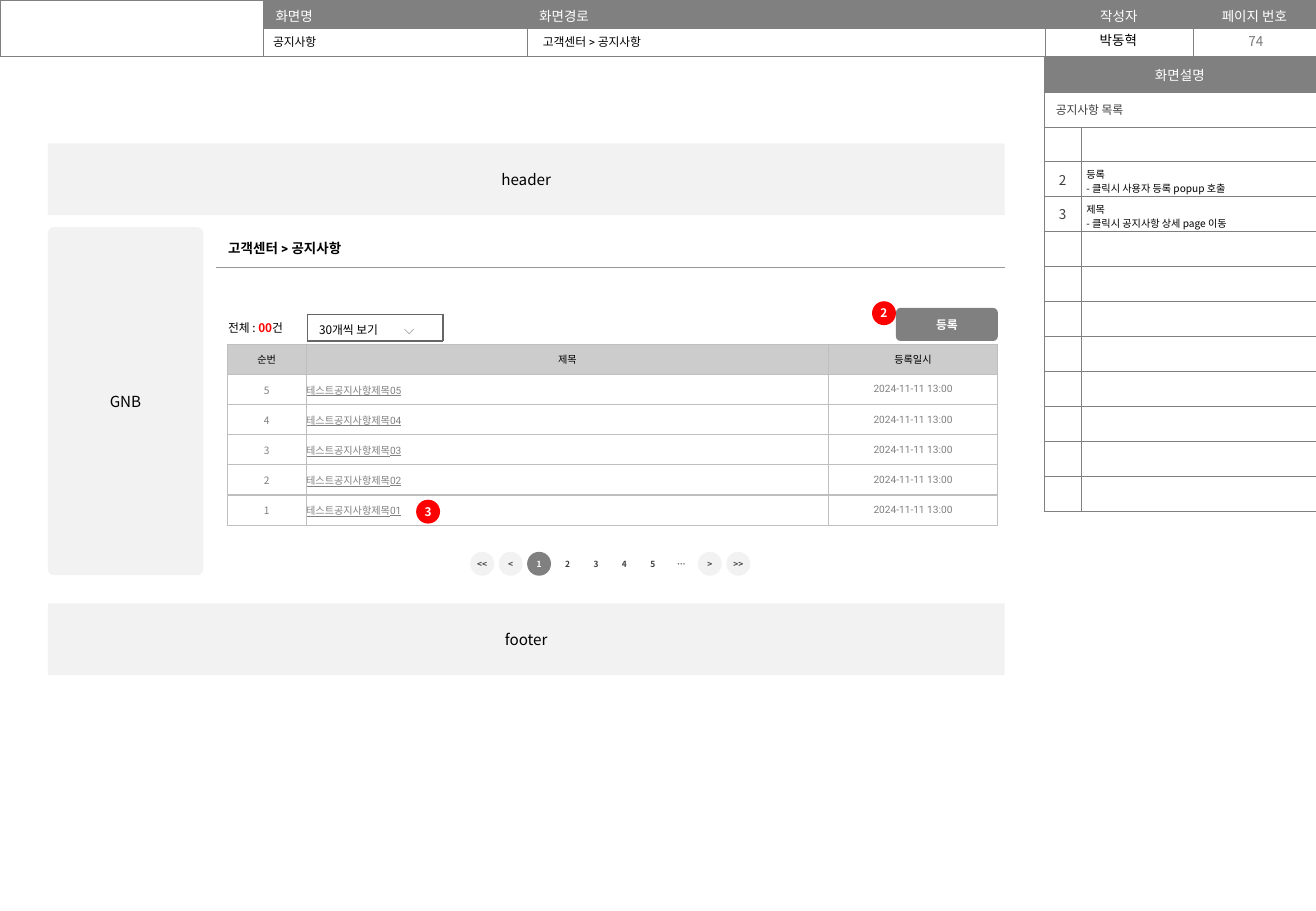
from lxml import etree
from pptx import Presentation
from pptx.dml.color import RGBColor
from pptx.enum import shapes, text
from pptx.oxml import ns
from pptx.util import Cm, Pt

BLACK = RGBColor(0, 0, 0)
WHITE = RGBColor(255, 255, 255)
GRAY = RGBColor(0x80, 0x80, 0x80)
DARK = RGBColor(0x40, 0x40, 0x40)
MID = RGBColor(0x66, 0x66, 0x66)
PAGE_NO = RGBColor(0x79, 0x79, 0x79)
RULE = RGBColor(0x99, 0x99, 0x99)
GRID = RGBColor(0xBF, 0xBF, 0xBF)
HEAD = RGBColor(0xCC, 0xCC, 0xCC)
PALE = RGBColor(0xF2, 0xF2, 0xF2)
RED = RGBColor(255, 0, 0)
NOTO, ROBOTO = "Noto Sans CJK KR", "Roboto"
LEFT, CENTER = text.PP_ALIGN.LEFT, text.PP_ALIGN.CENTER
MIDDLE, TOP = text.MSO_ANCHOR.MIDDLE, text.MSO_ANCHOR.TOP
NO_STYLE = "{2D5ABB26-0587-4C30-8999-92F81FD0307C}"


def add_run(p, words, size=8, color=BLACK, font=NOTO, bold=False, underline=False):
    r = p.add_run()
    r.text = words
    f = r.font
    f.size, f.name, f.bold, f.underline = Pt(size), font, bold, underline
    f.color.rgb = color
    ea = etree.SubElement(r._r.get_or_add_rPr(), ns.qn("a:ea"))
    ea.set("typeface", NOTO)


def write(tf, words, align=LEFT, **fmt):
    """Write each line of words as a paragraph."""
    for i, line in enumerate(words.split("\n")):
        p = tf.add_paragraph() if i else tf.paragraphs[0]
        p.alignment = align
        add_run(p, line, **fmt)


def set_margins(frame, margins):
    (frame.margin_left, frame.margin_top,
     frame.margin_right, frame.margin_bottom) = [Cm(m) for m in margins]


def add_border(cell, sides, color, width):
    tc_pr = cell._tc.get_or_add_tcPr()
    for i, side in enumerate(sides):
        ln = etree.Element(ns.qn(f"a:ln{side}"), w=str(Pt(width)))
        fill = etree.SubElement(ln, ns.qn("a:solidFill"))
        etree.SubElement(fill, ns.qn("a:srgbClr"), val=str(color))
        tc_pr.insert(i, ln)


class Wireframe:
    def __init__(self, slide):
        self.s = slide

    def text(self, x, y, w, h, words, anchor=TOP, **fmt):
        tf = self.s.shapes.add_textbox(Cm(x), Cm(y), Cm(w), Cm(h)).text_frame
        tf.word_wrap = True
        tf.vertical_anchor = anchor
        write(tf, words, **fmt)

    def box(self, x, y, w, h, words, fill=None, radius=0, margin=0, **fmt):
        sp = self.s.shapes.add_shape(shapes.MSO_SHAPE.ROUNDED_RECTANGLE,
                                     Cm(x), Cm(y), Cm(w), Cm(h))
        sp.adjustments[0] = radius
        sp.shadow.inherit = False
        sp.line.fill.background()
        if fill is None:
            sp.fill.background()
        else:
            sp.fill.solid()
            sp.fill.fore_color.rgb = fill
        tf = sp.text_frame
        tf.word_wrap = True
        tf.vertical_anchor = MIDDLE
        set_margins(tf, [margin] * 4)
        write(tf, words, align=CENTER, **fmt)

    def badge(self, x, y, words, fill=RED, radius=0.5, size=7, color=WHITE):
        self.box(x, y, 0.5, 0.5, words, fill, radius, size=size, color=color, bold=True)

    def table(self, x, y, widths, row_height, rows):
        tbl = self.s.shapes.add_table(rows, len(widths), Cm(x), Cm(y),
                                      Cm(sum(widths)), Cm(row_height * rows)).table
        tbl.first_row = tbl.horz_banding = False
        tbl._tbl.tblPr.find(ns.qn("a:tableStyleId")).text = NO_STYLE
        for col, width in zip(tbl.columns, widths):
            col.width = Cm(width)
        for row in tbl.rows:
            row.height = Cm(row_height)
        return tbl

    def cell(self, cell, words="", fill=None, sides="LRTB", border=GRAY, width=0.25,
             margins=(0.25, 0.1, 0.25, 0.1), anchor=MIDDLE, **fmt):
        if fill is None:
            cell.fill.background()
        else:
            cell.fill.solid()
            cell.fill.fore_color.rgb = fill
        add_border(cell, sides, border, width)
        set_margins(cell, margins)
        cell.vertical_anchor = anchor
        if words:
            write(cell.text_frame, words, **fmt)
        else:
            p = cell.text_frame.paragraphs[0]._p
            etree.SubElement(p, ns.qn("a:endParaRPr"), sz="600")


def add_title_bar(wf):
    tbl = wf.table(0, 0, [5.51, 5.51, 10.82, 3.1, 2.57], 0.59, 2)
    titles = ["", "화면명", "화면경로", "작성자", "페이지 번호"]
    for c, title in enumerate(titles):
        wf.cell(tbl.cell(0, c), title, GRAY if title else None, color=WHITE,
                align=CENTER if c > 2 else LEFT, margins=(0.25, 0.05, 0.25, 0))
        wf.cell(tbl.cell(1, c))
    tbl.cell(0, 0).merge(tbl.cell(1, 0))
    wf.text(21.82, 0.55, 3.12, 0.61, "박동혁", align=CENTER)
    wf.text(24.97, 0.56, 2.57, 0.61, "74", anchor=MIDDLE, align=CENTER, color=PAGE_NO)
    wf.text(5.46, 0.6, 5.64, 0.56, "공지사항", size=7, font=ROBOTO)
    wf.text(11.1, 0.6, 10.69, 0.56, "고객센터 > 공지사항", size=7, font=ROBOTO)


def add_description(wf):
    tbl = wf.table(21.82, 1.19, [0.79, 4.9], 0.73, 13)
    notes = {3: ("2", "등록\n- 클릭시 사용자 등록 popup 호출", GRAY),
             4: ("3", "제목\n- 클릭시 공지사항 상세 page 이동", DARK)}
    wf.cell(tbl.cell(0, 0), "화면설명", GRAY, color=WHITE, align=CENTER)
    wf.cell(tbl.cell(1, 0), "공지사항 목록", size=7, color=DARK)
    for r in range(2):
        wf.cell(tbl.cell(r, 1))
        tbl.cell(r, 0).merge(tbl.cell(r, 1))
    for r in range(2, 13):
        number, note, _ = notes.get(r, ("", "", None))
        wf.cell(tbl.cell(r, 0), number, align=CENTER, color=DARK)
        wf.cell(tbl.cell(r, 1), note, size=6, margins=(0.1, 0.1, 0.1, 0), anchor=TOP)


def add_list_controls(wf):
    tbl = wf.table(4.52, 6.57, [1.9, 2.84], 0.56, 1)
    style = dict(border=MID, width=0.75, margins=(0.25, 0.1, 0.25, 0.1), size=7)
    total, select = tbl.cell(0, 0), tbl.cell(0, 1)
    wf.cell(total, "전체 : ", sides="R", **style)
    p = total.text_frame.paragraphs[0]
    add_run(p, "00", size=7, color=RED, bold=True)
    add_run(p, "건", size=7)
    wf.cell(select, "30개씩 보기\t", **style)
    p = select.text_frame.paragraphs[0]
    tabs = etree.SubElement(p._p.get_or_add_pPr(), ns.qn("a:tabLst"))
    etree.SubElement(tabs, ns.qn("a:tab"), pos=str(Cm(1.78)), algn="l")
    add_run(p, "⌵", color=GRAY)


def add_notice_list(wf):
    tbl = wf.table(4.75, 7.2, [1.65, 10.92, 3.53], 0.63, 6)
    style = dict(border=GRID, width=0.75, margins=[0] * 4, size=6)
    for c, title in enumerate(["순번", "제목", "등록일시"]):
        wf.cell(tbl.cell(0, c), title, HEAD, align=CENTER, font=ROBOTO, **style)
    for r in range(1, 6):
        n = 6 - r
        values = [(str(n), dict(align=CENTER)),
                  (f"테스트공지사항제목{n:02}", dict(font=ROBOTO, underline=True)),
                  ("2024-11-11 13:00", dict(font=ROBOTO, align=CENTER))]
        for c, (words, fmt) in enumerate(values):
            wf.cell(tbl.cell(r, c), words, WHITE, color=GRAY, **style, **fmt)


def add_pager(wf):
    for i, label in enumerate(["<<", "<", "1", "2", "3", "4", "5", "⋯", ">", ">>"]):
        current, arrow = label == "1", label[0] in "<>"
        wf.badge(9.83 + 0.595 * i, 11.54, label, size=5,
                 fill=GRAY if current else PALE if arrow else None,
                 radius=0.5 if current or arrow else 0,
                 color=WHITE if current else DARK)


def main():
    prs = Presentation()
    prs.slide_width, prs.slide_height = Cm(27.51), Cm(19.05)
    wf = Wireframe(prs.slides.add_slide(prs.slide_layouts[6]))
    add_title_bar(wf)
    add_description(wf)
    for y, h, w, radius, name in [(3, 1.5, 20, 0, "header"),
                                  (4.75, 7.28, 3.25, 0.04, "GNB"),
                                  (12.62, 1.5, 20, 0, "footer")]:
        wf.box(1, y, w, h, name, PALE, radius, margin=0.25, size=9)
    breadcrumb = wf.table(4.52, 4.75, [8.24, 8.24], 0.84, 1)
    for c, words in enumerate(["고객센터 > 공지사항", ""]):
        wf.cell(breadcrumb.cell(0, c), words, sides="B", border=RULE, width=0.75,
                font=ROBOTO, bold=True)
    add_notice_list(wf)
    add_list_controls(wf)
    add_pager(wf)
    wf.box(18.73, 6.44, 2.13, 0.69, "등록", GRAY, 0.14, size=7, color=WHITE, bold=True)
    wf.badge(18.23, 6.3, "2")
    wf.badge(8.7, 10.45, "3")
    prs.save("out.pptx")


if __name__ == "__main__":
    main()
